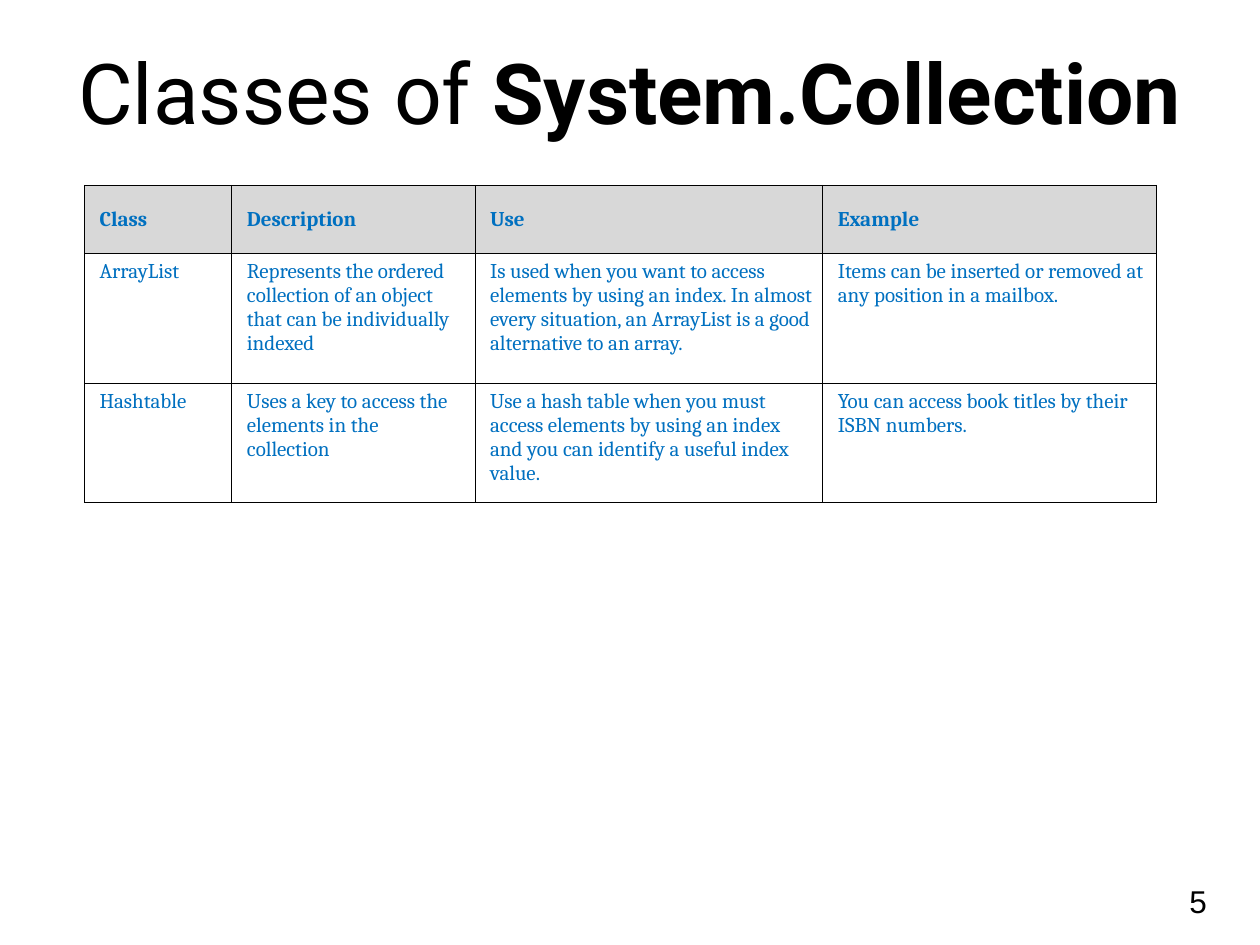
from typing import NamedTuple

from lxml import etree
from pptx import Presentation
from pptx.dml.color import RGBColor
from pptx.enum import text
from pptx.oxml import ns
from pptx.util import Inches, Pt

COLORS = {"black": "000000", "blue": "0070C0", "header": "D8D8D8"}
BORDER_WIDTH = Pt(0.45)
COLUMN_WIDTHS = (1.17, 1.93, 2.76, 2.65)
ROW_HEIGHTS = (0.54, 1.03, 0.95)
ROWS = (
    ("Class", "Description", "Use", "Example"),
    (
        "ArrayList",
        "Represents the ordered collection of an object that can be individually indexed",
        "Is used when you want to access elements by using an index. "
        "In almost every situation, an ArrayList is a good alternative to an array.",
        "Items can be inserted or removed at any position in a mailbox.",
    ),
    (
        "Hashtable",
        "Uses a key to access the elements in the collection",
        "Use a hash table when you must access elements by using an index "
        "and you can identify a useful index value.",
        "You can access book titles by their ISBN numbers.",
    ),
)


class TextStyle(NamedTuple):
    font: str
    size: float
    color: str = "black"
    bold: bool = False


class RowStyle(NamedTuple):
    text: TextStyle
    anchor: text.MSO_ANCHOR
    space_before: float
    space_after: float
    fill: str | None = None


HEADER = RowStyle(TextStyle("Cambria", 12, "blue", True), text.MSO_ANCHOR.MIDDLE, 3, 3, "header")
BODY = RowStyle(TextStyle("Cambria", 12, "blue"), text.MSO_ANCHOR.TOP, 6, 4)


def add_run(paragraph, content: str, style: TextStyle) -> None:
    run = paragraph.add_run()
    run.text = content
    run.font.name = style.font
    run.font.size = Pt(style.size)
    run.font.bold = style.bold
    run.font.color.rgb = RGBColor.from_string(COLORS[style.color])


def add_text_box(slide, left: float, top: float, width: float, height: float,
                 runs: list[tuple[str, TextStyle]], anchor=text.MSO_ANCHOR.TOP,
                 alignment=text.PP_ALIGN.LEFT) -> None:
    box = slide.shapes.add_textbox(Inches(left), Inches(top), Inches(width), Inches(height))
    frame = box.text_frame
    frame.word_wrap = True
    frame.vertical_anchor = anchor
    paragraph = frame.paragraphs[0]
    paragraph.alignment = alignment
    for content, style in runs:
        add_run(paragraph, content, style)


def add_borders(cell) -> None:
    properties = cell._tc.get_or_add_tcPr()
    for side in ("lnL", "lnR", "lnT", "lnB"):
        line = etree.SubElement(properties, ns.qn(f"a:{side}"), w=str(BORDER_WIDTH))
        fill = etree.SubElement(line, ns.qn("a:solidFill"))
        etree.SubElement(fill, ns.qn("a:srgbClr"), val=COLORS["black"])


def fill_cell(cell, content: str, style: RowStyle) -> None:
    add_borders(cell)
    if style.fill:
        cell.fill.solid()
        cell.fill.fore_color.rgb = RGBColor.from_string(COLORS[style.fill])
    else:
        cell.fill.background()
    cell.margin_left = cell.margin_right = Inches(0.08)
    cell.margin_top = cell.margin_bottom = Inches(0.05)
    cell.vertical_anchor = style.anchor
    paragraph = cell.text_frame.paragraphs[0]
    paragraph.space_before = Pt(style.space_before)
    paragraph.space_after = Pt(style.space_after)
    indent = paragraph._p.get_or_add_pPr()
    indent.set("marL", str(Inches(0.04)))
    indent.set("indent", "0")
    add_run(paragraph, content, style.text)


def add_class_table(slide, left: float, top: float) -> None:
    table = slide.shapes.add_table(
        len(ROWS), len(COLUMN_WIDTHS), Inches(left), Inches(top),
        Inches(sum(COLUMN_WIDTHS)), Inches(sum(ROW_HEIGHTS)),
    ).table
    table.first_row = table.horz_banding = False
    for column, width in zip(table.columns, COLUMN_WIDTHS):
        column.width = Inches(width)
    for index, (row, height, contents) in enumerate(zip(table.rows, ROW_HEIGHTS, ROWS)):
        row.height = Inches(height)
        for cell, content in zip(row.cells, contents):
            fill_cell(cell, content, BODY if index else HEADER)


def main() -> None:
    presentation = Presentation()
    presentation.slide_width, presentation.slide_height = Inches(10), Inches(7.5)
    slide = presentation.slides.add_slide(presentation.slide_layouts[6])

    # Title
    title = TextStyle("Roboto", 48)
    add_text_box(slide, 0.5, 0.13, 9, 1.18,
                 [("Classes of ", title), ("System.Collection", title._replace(bold=True))],
                 text.MSO_ANCHOR.MIDDLE, text.PP_ALIGN.CENTER)

    # Slide number
    add_text_box(slide, 9.34, 6.95, 0.61, 0.4, [("5", TextStyle("Arial", 18))])

    # Collection classes
    add_class_table(slide, 0.67, 1.47)

    presentation.save("out.pptx")


if __name__ == "__main__":
    main()
